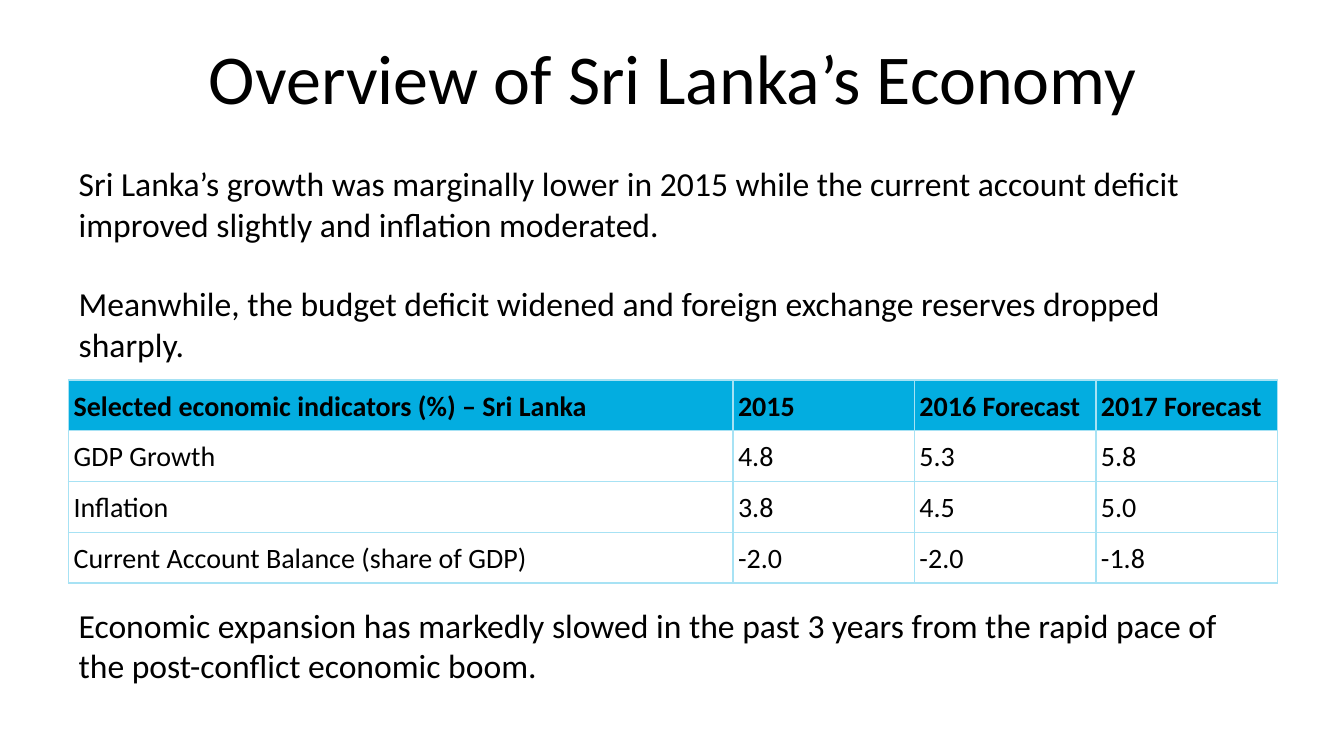
"""Build the slide giving an overview of Sri Lanka's economy."""
from pptx import Presentation
from pptx.dml.color import RGBColor
from pptx.enum.text import MSO_ANCHOR, MSO_AUTO_SIZE, PP_ALIGN
from pptx.oxml import parse_xml
from pptx.oxml.ns import nsdecls
from pptx.util import Inches, Pt

CENTER, LEFT = PP_ALIGN.CENTER, PP_ALIGN.LEFT
TOP, MIDDLE = MSO_ANCHOR.TOP, MSO_ANCHOR.MIDDLE
NO_FIT = MSO_AUTO_SIZE.NONE
COLORS = {"text": "000000", "header": "03ADE0", "row": "FFFFFF", "border": "A7E2F4"}
MARGIN, WIDTH = Inches(0.68), Inches(11.99)

PARAGRAPHS = [
    ("Sri Lanka’s growth was marginally lower in 2015 while the current account "
     "deficit improved slightly and inflation moderated.", 0),
    ("Meanwhile, the budget deficit widened and foreign exchange reserves "
     "dropped sharply.", 28),
    ("Economic expansion has markedly slowed in the past 3 years from the rapid "
     "pace of the post-conflict economic boom.", 172),
]
INDICATORS = [
    ["Selected economic indicators (%) – Sri Lanka", "2015", "2016 Forecast", "2017 Forecast"],
    ["GDP Growth", "4.8", "5.3", "5.8"],
    ["Inflation", "3.8", "4.5", "5.0"],
    ["Current Account Balance (share of GDP)", "-2.0", "-2.0", "-1.8"],
]
COLUMN_WIDTHS = [6.59, 1.8, 1.8, 1.8]


def write(p, text, size, align=LEFT, bold=False):
    p.text = text
    p.alignment = align
    font = p.runs[0].font
    font.name, font.size, font.bold = "Calibri", Pt(size), bold
    font.color.rgb = RGBColor.from_string(COLORS["text"])


prs = Presentation()
prs.slide_width, prs.slide_height = Inches(13.33), Inches(7.5)
s = prs.slides.add_slide(prs.slide_layouts[1])
title, body = s.placeholders

for sp, top, height, anchor in [(title, 0.29, 0.94, MIDDLE), (body, 1.57, 5.35, TOP)]:
    sp.left, sp.top, sp.width, sp.height = MARGIN, Inches(top), WIDTH, Inches(height)
    sp.text_frame.auto_size = NO_FIT
    sp.text_frame.word_wrap = True
    sp.text_frame.vertical_anchor = anchor

write(title.text_frame.paragraphs[0], "Overview of Sri Lanka’s Economy", 50, CENTER)

tf = body.text_frame
for i, (text, gap) in enumerate(PARAGRAPHS):
    p = tf.add_paragraph() if i else tf.paragraphs[0]
    write(p, text, 24)
    p.space_before, p.space_after = Pt(gap), Pt(0)
    pPr = p._p.get_or_add_pPr()
    pPr.set("marL", "0")
    pPr.set("indent", "0")
    pPr.append(parse_xml(f"<a:buNone {nsdecls('a')}/>"))

row_height = Inches(0.5)
table = s.shapes.add_table(len(INDICATORS), len(COLUMN_WIDTHS), MARGIN, Inches(3.77),
                           WIDTH, row_height * len(INDICATORS)).table
table.horz_banding = False
for column, width in zip(table.columns, COLUMN_WIDTHS):
    column.width = Inches(width)

for i, values in enumerate(INDICATORS):
    for j, value in enumerate(values):
        cell = table.cell(i, j)
        cell.margin_left = cell.margin_right = Inches(0.05)
        cell.margin_top = cell.margin_bottom = Inches(0.07)
        p = cell.text_frame.paragraphs[0]
        write(p, value, 20, bold=i == 0)
        p.line_spacing = 1.07
        tcPr = cell._tc.get_or_add_tcPr()
        for side in "LRTB":
            tcPr.append(parse_xml(
                f'<a:ln{side} {nsdecls("a")} w="{Pt(1)}"><a:solidFill>'
                f'<a:srgbClr val="{COLORS["border"]}"/></a:solidFill></a:ln{side}>'))
        cell.fill.solid()
        cell.fill.fore_color.rgb = RGBColor.from_string(COLORS["row" if i else "header"])

prs.save("out.pptx")
